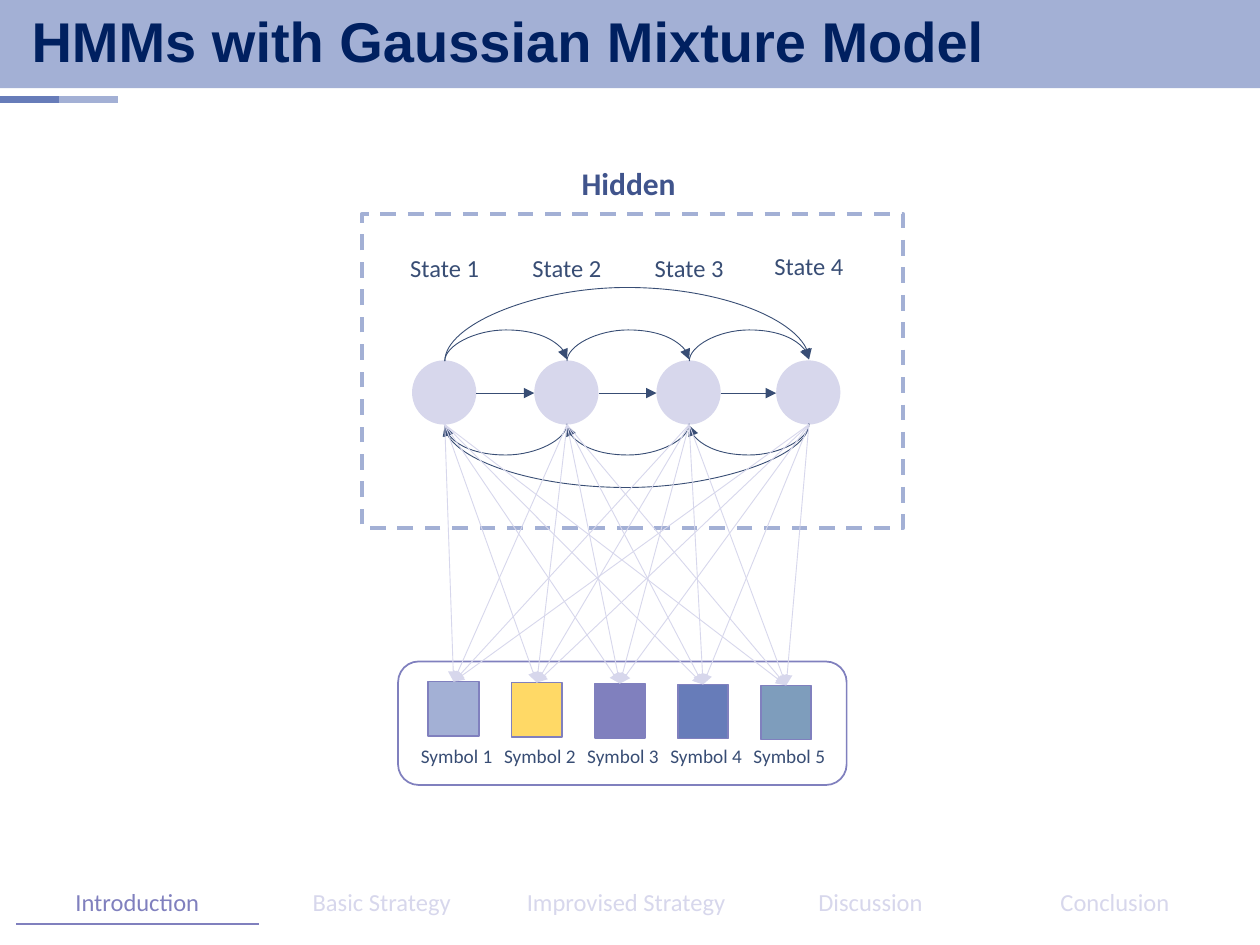
"""Build the slide on hidden Markov models with a Gaussian mixture."""
from lxml.etree import SubElement
from pptx import Presentation
from pptx.dml.color import RGBColor
from pptx.enum.dml import MSO_LINE_DASH_STYLE as DASH
from pptx.enum.shapes import MSO_CONNECTOR as CONN, MSO_SHAPE as SHAPE
from pptx.enum.text import MSO_ANCHOR as ANCHOR, PP_ALIGN as ALIGN
from pptx.oxml import parse_xml
from pptx.oxml.ns import nsdecls, qn
from pptx.util import Inches, Pt

NAVY = RGBColor(0x00, 0x20, 0x60)
INK = RGBColor(0x38, 0x4D, 0x74)
INDIGO = RGBColor(0x40, 0x54, 0x8C)
BLUE = RGBColor(0x67, 0x7C, 0xB9)
SKY = RGBColor(0xA3, 0xB0, 0xD5)
PURPLE = RGBColor(0x80, 0x80, 0xBE)
LILAC = RGBColor(0xD7, 0xD7, 0xEC)
YELLOW = RGBColor(0xFF, 0xD9, 0x66)
STEEL = RGBColor(0x7E, 0x9D, 0xBC)

STATE_X = (3.53, 4.5, 5.47, 6.42)
LABEL_Y = (1.96, 1.96, 1.96, 1.94)
SYMBOL_FILLS = (SKY, YELLOW, PURPLE, BLUE, STEEL)
SECTIONS = ("Introduction", "Basic Strategy", "Improvised Strategy", "Discussion", "Conclusion")


class Deck:
    """Hold the font and the current slide, and draw each kind of element."""

    def __init__(self, font="Calibri"):
        self.font = font
        self.prs = Presentation()
        self.prs.slide_width, self.prs.slide_height = Inches(10), Inches(7.5)
        self.s = self.prs.slides.add_slide(self.prs.slide_layouts[5])

    def style(self, p, size, color, bold=False, font=None):
        p.font.name, p.font.size, p.font.bold = font or self.font, Pt(size), bold
        p.font.color.rgb = color

    def title(self, text, *box):
        sp = self.s.shapes.title
        sp.left, sp.top, sp.width, sp.height = map(Inches, box)
        sp.text_frame.text = text
        sp.text_frame.vertical_anchor = ANCHOR.MIDDLE
        p = sp.text_frame.paragraphs[0]
        p.alignment, p.line_spacing = ALIGN.LEFT, 0.9
        self.style(p, 32, NAVY, True, "Arial")
        self.s.shapes._spTree.append(sp._element)

    def text(self, text, box, size, color, bold=False, inset=True):
        tf = self.s.shapes.add_textbox(*map(Inches, box)).text_frame
        tf.word_wrap = True
        if not inset:
            tf.margin_left = tf.margin_right = tf.margin_top = tf.margin_bottom = 0
        tf.text = text
        p = tf.paragraphs[0]
        p.alignment = ALIGN.CENTER
        self.style(p, size, color, bold)

    def shape(self, kind, box, fill=None, line=None, width=1, dash=None):
        sp = self.s.shapes.add_shape(kind, *map(Inches, box))
        sp.shadow.inherit = False
        if fill is None:
            sp.fill.background()
        else:
            sp.fill.solid()
            sp.fill.fore_color.rgb = fill
        if line is None:
            sp.line.fill.background()
        else:
            sp.line.color.rgb, sp.line.width = line, Pt(width)
            sp.line.dash_style = dash

    def line(self, start, end, color, width=0.5, arrow=True, kind=CONN.STRAIGHT):
        c = self.s.shapes.add_connector(kind, *map(Inches, (*start, *end)))
        c.line.color.rgb, c.line.width = color, Pt(width)
        if arrow:
            SubElement(c.line._get_or_add_ln(), qn("a:tailEnd"), type="triangle")
        SubElement(c._element.spPr, qn("a:effectLst"))
        return c

    def arc(self, x1, x2, y, rise, color):
        """Bulge upwards when going right and downwards when going left."""
        step = 1 / 72
        dy = -step if x2 > x1 else step
        cx, half = (x1 + x2) / 2, (x2 - x1) / 2
        c = self.line((cx - dy / 2, y + half), (cx + dy / 2, y - half), color, kind=CONN.CURVE)
        pr = c._element.spPr
        pr.find(qn("a:xfrm")).set("rot", "5400000")
        av = pr.find(qn("a:prstGeom")).get_or_add_avLst()
        SubElement(av, qn("a:gd"), name="adj1", fmla=f"val {round(rise / step * 100000)}")

    def nav(self, labels, active, box):
        tbl = self.s.shapes.add_table(1, len(labels), *map(Inches, box)).table
        tbl.first_row = tbl.horz_banding = False
        for cell, label in zip(tbl.rows[0].cells, labels):
            cell.text = label
            cell.vertical_anchor = ANCHOR.MIDDLE
            cell.fill.background()
            p = cell.text_frame.paragraphs[0]
            p.alignment = ALIGN.CENTER
            self.style(p, 14, PURPLE if label == active else LILAC)
            if label == active:
                cell._tc.get_or_add_tcPr().insert(0, parse_xml(
                    f'<a:lnB {nsdecls("a")} w="12700"><a:solidFill>'
                    f'<a:srgbClr val="{PURPLE}"/></a:solidFill></a:lnB>'))


def main():
    d = Deck()
    d.shape(SHAPE.RECTANGLE, (0, 0, 10, 0.7), SKY)
    for x, color in ((0, BLUE), (0.47, SKY)):
        d.line((x, 0.79), (x + 0.47, 0.79), color, 4.5, arrow=False)
    d.title("HMMs with Gaussian Mixture Model", 0.15, 0.09, 9.7, 0.53)

    for i, (x, y) in enumerate(zip(STATE_X, LABEL_Y), 1):
        d.text(f"State {i}", (x - 0.43, y, 0.86, 0.34), 14, INK)
        d.shape(SHAPE.OVAL, (x - 0.26, 2.86, 0.51, 0.51), LILAC)
    for x1, x2 in zip(STATE_X, STATE_X[1:]):
        d.line((x1 + 0.25, 3.12), (x2 - 0.26, 3.12), INK)
        d.arc(x1, x2, 2.86, 0.25, INK)
        d.arc(x2, x1, 3.37, 0.25, INK)
    first, last = STATE_X[0], STATE_X[-1]
    d.arc(first, last, 2.86, 0.59, INK)
    d.arc(last, first, 3.37, 0.51, INK)
    d.shape(SHAPE.RECTANGLE, (2.87, 1.7, 4.3, 2.49), line=SKY, width=2.25, dash=DASH.DASH)
    d.text("Hidden", (2.91, 1.3, 4.16, 0.28), 18, INDIGO, True, inset=False)

    d.shape(SHAPE.ROUNDED_RECTANGLE, (3.16, 5.25, 3.56, 0.98), line=PURPLE)
    for i, fill in enumerate(SYMBOL_FILLS):
        x, y = 3.6 + 0.66 * i, 5.41 + 0.0075 * i
        d.shape(SHAPE.RECTANGLE, (x - 0.2, y, 0.4, 0.43), fill, PURPLE)
        d.text(f"Symbol {i + 1}", (x - 0.44, 5.86, 0.93, 0.29), 11, INK)
        for state_x in STATE_X:
            d.line((state_x, 3.37), (x, y), LILAC)

    d.nav(SECTIONS, "Introduction", (0.12, 7, 9.7, 0.33))
    d.prs.save("out.pptx")


if __name__ == "__main__":
    main()
